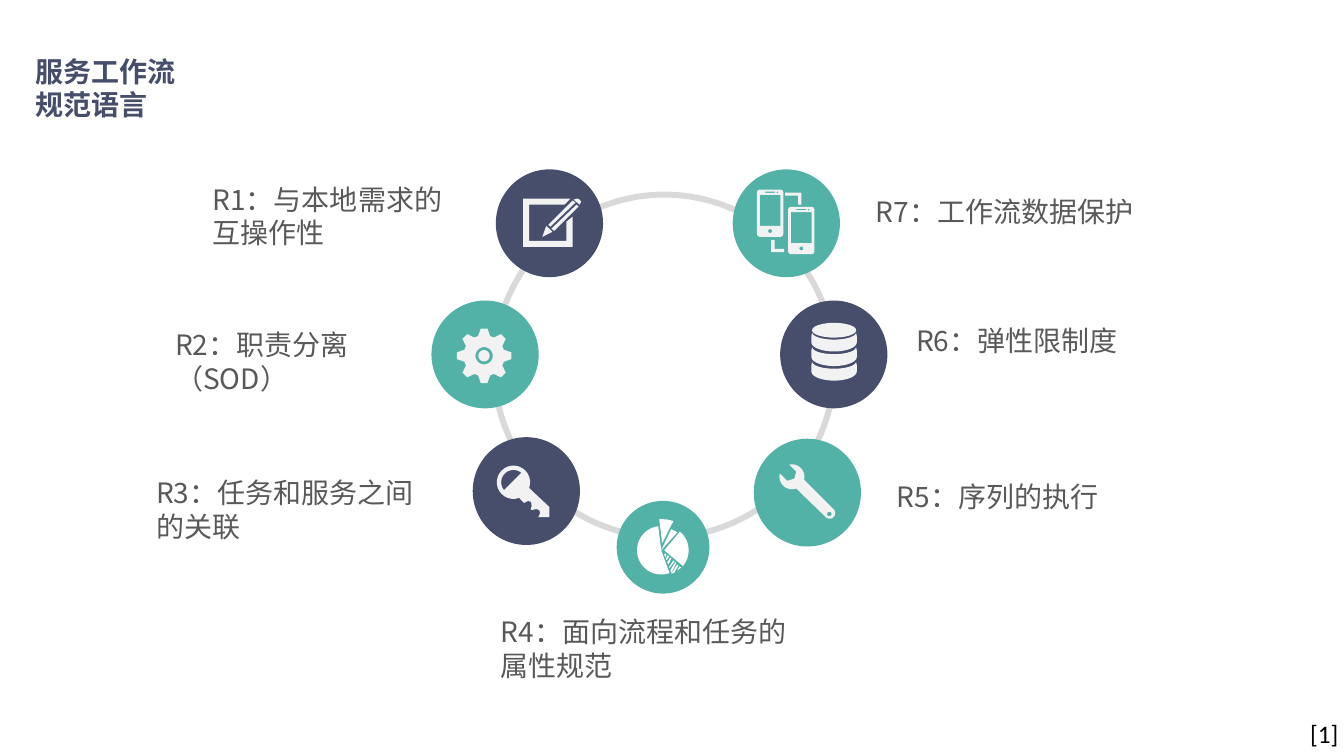
"""Build the slide on requirements for service workflow specification languages."""
from math import cos, radians, sin

from lxml.etree import SubElement
from pptx import Presentation
from pptx.dml.color import RGBColor
from pptx.enum.shapes import MSO_SHAPE
from pptx.enum.text import MSO_AUTO_SIZE
from pptx.oxml.ns import qn
from pptx.util import Pt

COLORS = {"navy": "464E6C", "teal": "52B2A7", "ring": "D9D9D9", "icon": "F2F2F2",
          "white": "FFFFFF", "text": "595959", "black": "000000"}
CJK_FONT = "Noto Sans CJK JP"

presentation = Presentation()
presentation.slide_width, presentation.slide_height = Pt(960), Pt(540)
slide = presentation.slides.add_slide(presentation.slide_layouts[6])


def arc(x, y, radius_x, radius_y, start=0, stop=360):
    """Return points along an elliptical arc, angles in degrees clockwise."""
    angles = [radians(start + (stop - start) * step / 24) for step in range(25)]
    return [(x + radius_x * cos(angle), y + radius_y * sin(angle)) for angle in angles]


def add_icon(contours, color="icon"):
    """Draw closed contours as one filled outline."""
    builder = None
    for contour in contours:
        points = [(Pt(x), Pt(y)) for x, y in contour]
        if builder is None:
            builder = slide.shapes.build_freeform(*points[0], scale=1.0)
        else:
            builder.move_to(*points[0])
        builder.add_line_segments(points[1:], close=True)
    shape = builder.convert_to_shape()
    shape.shadow.inherit = False
    shape.fill.solid()
    shape.fill.fore_color.rgb = RGBColor.from_string(COLORS[color])
    shape.line.fill.background()


ring = slide.shapes.add_shape(MSO_SHAPE.OVAL, Pt(352.8), Pt(139), Pt(243.4), Pt(244.8))
ring.shadow.inherit = False
ring.fill.background()
ring.line.color.rgb = RGBColor.from_string(COLORS["ring"])
ring.line.width = Pt(4.25)

discs = [
    (354.2, 121, 76.6, 77, "navy"),
    (308.2, 214.7, 76.6, 77, "teal"),
    (337.7, 312.3, 76.6, 77, "navy"),
    (523.4, 121, 76.6, 77, "teal"),
    (557.3, 214.7, 76.6, 77, "navy"),
    (538.4, 313.4, 76.6, 77, "teal"),
    (440.5, 357.8, 66.2, 66.2, "teal"),
    (341.6, 250, 8.2, 8.2, "icon"),
    (580, 230.6, 31.6, 10.6, "icon"),
]
for left, top, width, height, color in discs:
    disc = slide.shapes.add_shape(MSO_SHAPE.OVAL, Pt(left), Pt(top), Pt(width), Pt(height))
    disc.shadow.inherit = False
    disc.fill.solid()
    disc.fill.fore_color.rgb = RGBColor.from_string(COLORS[color])
    disc.line.fill.background()

add_icon([
    [(373.7, 141.8), (407.5, 141.8), (403.2, 146.2), (378, 146.2), (378, 172.1),
     (404.6, 172.1), (404.6, 158.4), (409, 154.8), (409, 176.4), (373.7, 176.4)],
    [(390.2, 161.3), (394.6, 165.6), (387.4, 169.2)],
    [(411.8, 146.2), (413.3, 147.6), (396, 164.9), (393.8, 163.4)],
    [(409, 143.3), (411.1, 144.7), (393.1, 162), (391.7, 160.6)],
    [(412.6, 141.8), (414, 142.6), (415.1, 144), (414, 146.2), (409.7, 142.6)],
])

gear_x, gear_y = 345.8, 254.1
teeth = []
for tooth in range(8):
    for offset, radius in ((-17, 14.7), (-7, 19.6), (7, 19.6), (17, 14.7)):
        angle = radians(tooth * 45 + offset)
        teeth.append((gear_x + radius * cos(angle), gear_y + radius * sin(angle)))
add_icon([teeth, arc(gear_x, gear_y, 6.2, 6.2)])

for band in range(3):
    top = 237.6 + 10.4 * band
    add_icon([arc(595.8, top, 15.6, 5, 0, 180) + [(579.6, top + 2.2)]
              + arc(595.8, top + 7, 16.2, 6.5, 180, 0) + [(612, top + 2.2)]])

key_teeth = [(392.4, 362.2), (392.4, 369.4), (384.5, 369.4), (385.9, 366.5), (385.2, 364.3),
             (383, 363.6), (380.2, 364.3), (379.1, 364), (379.8, 361.4), (379.4, 358.6),
             (377.3, 357.8), (374.4, 359.3)]
add_icon([arc(366.8, 344.5, 11.9, 11.9, 70, 380) + key_teeth,
          arc(366.8, 344.5, 8.8, 8.8, 140, 310)])

jaw = [(568.8, 337), (567.4, 342), (562.3, 343.4)]
add_icon([arc(565.7, 340.6, 8.9, 8.9, 13, -102) + jaw
          + arc(565.7, 340.6, 8.9, 8.9, 195, 70) + arc(592.6, 366.5, 4, 4, 130, -40),
          arc(592.4, 367.2, 1.6, 1.6)])

for x, y in ((540.7, 135.4), (563, 147.8)):
    body = []
    for corner_x, corner_y, start in ((16.6, 2.2, -90), (16.6, 31.6, 0),
                                      (2.2, 31.6, 90), (2.2, 2.2, 180)):
        body += arc(x + corner_x, y + corner_y, 2.2, 2.2, start, start + 90)
    openings = [[(x + left, y + top), (x + right, y + top),
                 (x + right, y + bottom), (x + left, y + bottom)]
                for left, top, right, bottom in ((2, 3.8, 16.8, 25.9), (5.8, 1.5, 12.8, 2.3))]
    add_icon([body, *openings, arc(x + 9.4, y + 29.7, 1.4, 1.4),
              arc(x + 14.6, y + 2, 0.6, 0.6)])

add_icon([[(560.9, 137.5), (572.4, 137.5), (572.4, 146.2), (570.2, 146.2),
           (570.2, 139.7), (560.9, 139.7)]])
add_icon([[(550.8, 171.4), (553.4, 171.4), (553.4, 177.8), (560.2, 177.8),
           (560.2, 180), (550.8, 180)]])

add_icon([
    arc(472.3, 393.1, 17.3, 17.3, 70, 263) + [(472.3, 393.1)],
    arc(474.5, 393.1, 17.4, 17.4, -50, 40) + [(474.5, 393.1)],
    [(479.5, 378), (472.3, 393.1), (483.8, 380.2)],
    [(470.9, 370.8), (473, 388.1), (481, 372.2), (476, 371)],
    [(486.7, 405.4), (483.8, 407.5), (485.3, 404.6)],
    [(481.7, 409), (484.6, 403.9), (483.8, 403.2), (479.5, 409.7)],
    [(479.5, 409), (483.1, 402.5), (482.4, 401.3), (478.8, 407.5)],
    [(478.1, 406.1), (481.7, 401), (481, 400.3), (478.1, 404.6)],
    [(477.4, 403.2), (479.5, 398.9), (478.8, 398.2), (476.6, 401.8)],
    [(475.9, 400.3), (478.1, 397.4), (476.6, 396.7), (475.9, 398.9)],
    [(475.2, 398.2), (475.9, 396), (475.2, 395.3), (474.5, 396)],
], "white")

labels = [
    (618.5, 135.4, 226.8, 31.5, ["R7：工作流数据保护"], CJK_FONT, 20, "text"),
    (647.3, 227.5, 226.8, 31.5, ["R6：弹性限制度"], CJK_FONT, 20, "text"),
    (633.6, 339.1, 226.8, 31.5, ["R5：序列的执行"], CJK_FONT, 20, "text"),
    (104.4, 336.2, 201.6, 55.4, ["R3：任务和服务之间", "的关联"], CJK_FONT, 20, "text"),
    (118.1, 230.4, 184.3, 55.4, ["R2：职责分离（SOD）"], CJK_FONT, 20, "text"),
    (144.7, 126.7, 194.4, 55.4, ["R1：与本地需求的互操作性"], CJK_FONT, 20, "text"),
    (350.6, 435.6, 226.8, 55.4, ["R4：面向流程和任务的属性规范"], CJK_FONT, 20, "text"),
    (18, 35.3, 115.2, 55.4, ["服务工作流", "规范语言"], "Roboto Condensed", 20, "navy"),
    (928.8, 509.8, 34.6, 28.8, ["[1]"], "Calibri", 18, "black"),
]
for left, top, width, height, lines, font_name, size, color in labels:
    box = slide.shapes.add_textbox(Pt(left), Pt(top), Pt(width), Pt(height))
    frame = box.text_frame
    frame.word_wrap = font_name == CJK_FONT
    frame.auto_size = MSO_AUTO_SIZE.SHAPE_TO_FIT_TEXT
    for index, line in enumerate(lines):
        paragraph = frame.paragraphs[0] if index == 0 else frame.add_paragraph()
        run = paragraph.add_run()
        run.text = line
        run.font.size = Pt(size)
        run.font.bold = color == "navy"
        run.font.color.rgb = RGBColor.from_string(COLORS[color])
        run.font.name = font_name
        SubElement(run.font._element, qn("a:ea"), typeface=CJK_FONT)

presentation.save("out.pptx")
